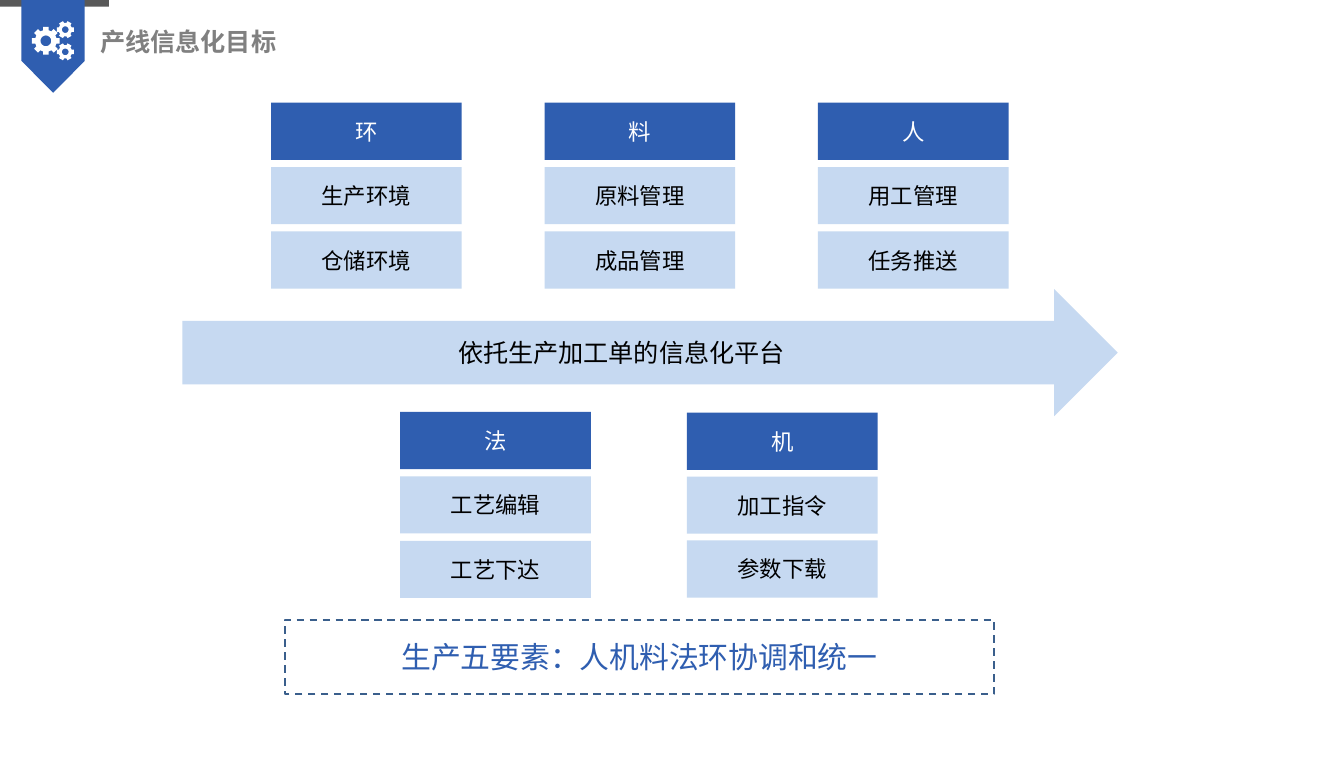
"""Build the slide on production line informatisation goals."""
import math

from lxml import etree
from pptx import Presentation
from pptx import util as u
from pptx.dml import color
from pptx.enum import dml, shapes, text
from pptx.oxml import ns

FONT = "Noto Sans CJK SC"
COLORS = {
    "blue": "2F5EB0", "pale": "C6D9F1", "bar": "595959", "title": "808080",
    "dash": "3A5F8C", "black": "000000", "white": "FFFFFF",
}
CARD_W, CARD_H = 102.2, 30.6
COLUMN_STEP = 146.5
TOP_CARDS = [
    ("环", "生产环境", "仓储环境"),
    ("料", "原料管理", "成品管理"),
    ("人", "用工管理", "任务推送"),
]
BOTTOM_CARDS = [
    (368, 221, 34.2, ("机", "加工指令", "参数下载")),
    (214.4, 220.6, 34.5, ("法", "工艺编辑", "工艺下达")),
]
GEARS = [(24.6, 21.9, 7.6, 8), (35, 15.9, 4.7, 6), (35, 27.8, 4.7, 6)]


def rgb(name):
    return color.RGBColor.from_string(COLORS[name])


def add_shape(parent, kind, box, fill=None):
    sp = parent.shapes.add_shape(kind, *map(u.Pt, box))
    sp.shadow.inherit = False
    sp.line.fill.background()
    if fill:
        sp.fill.solid()
        sp.fill.fore_color.rgb = rgb(fill)
    else:
        sp.fill.background()
    return sp


def write(sp, content, size, ink, bold=False, align=text.PP_ALIGN.CENTER):
    p = sp.text_frame.paragraphs[0]
    p.alignment = align
    r = p.add_run()
    r.text = content
    formats = {"size": u.Pt(size), "bold": bold, "name": FONT}
    for key, value in formats.items():
        setattr(r.font, key, value)
    r.font.color.rgb = rgb(ink)
    etree.SubElement(r._r.get_or_add_rPr(), ns.qn("a:ea"), typeface=FONT)


def add_label(s, box, content, size, ink, frame=None, **style):
    sp = s.shapes.add_textbox(*map(u.Pt, box))
    settings = {"word_wrap": False, "auto_size": text.MSO_AUTO_SIZE.SHAPE_TO_FIT_TEXT}
    for key, value in {**settings, **(frame or {})}.items():
        setattr(sp.text_frame, key, value)
    write(sp, content, size, ink, **style)


def add_cards(s, left, top, step, labels):
    for i, label in enumerate(labels):
        fill, ink = ("pale", "black") if i else ("blue", "white")
        box = (left, top + i * step, CARD_W, CARD_H)
        sp = add_shape(s, shapes.MSO_SHAPE.RECTANGLE, box, fill)
        sp.text_frame.vertical_anchor = text.MSO_ANCHOR.MIDDLE
        write(sp, label, 12, ink)


def ring(cx, cy, polar):
    return [(u.Pt(cx + r * math.cos(a)), u.Pt(cy + r * math.sin(a))) for r, a in polar]


def gear_rings(cx, cy, radius, teeth):
    pitch = 2 * math.pi / teeth
    profile = [(0.77, -0.33), (1, -0.25), (1, 0.25), (0.77, 0.33)]
    rim = [(radius * k, (i + d) * pitch) for i in range(teeth) for k, d in profile]
    hole = [(radius * 0.38, -i * math.pi / 12) for i in range(24)]
    return [ring(cx, cy, rim), ring(cx, cy, hole)]


def add_gears(s):
    rings = [points for gear in GEARS for points in gear_rings(*gear)]
    builder = s.shapes.build_freeform(*rings[0][0])
    for i, points in enumerate(rings):
        if i:
            builder.move_to(*points[0])
        builder.add_line_segments(points[1:], close=True)
    sp = builder.convert_to_shape()
    sp.shadow.inherit = False
    sp.fill.solid()
    sp.fill.fore_color.rgb = rgb("white")
    sp.line.fill.background()


def add_header(s):
    add_shape(s, shapes.MSO_SHAPE.RECTANGLE, (0, 0, 58.3, 3.6), "bar")
    badge = s.shapes.add_group_shape()
    add_shape(badge, shapes.MSO_SHAPE.RECTANGLE, (11.5, 0, 33.9, 32.7), "blue")
    tip = add_shape(badge, shapes.MSO_SHAPE.ISOSCELES_TRIANGLE, (11.5, 32.6, 33.9, 17.1), "blue")
    tip.rotation = 180
    frame = {"word_wrap": True, "margin_left": u.Pt(4.3), "margin_right": u.Pt(4.3),
             "margin_top": u.Pt(2.2), "margin_bottom": u.Pt(2.2)}
    add_label(s, (49.6, 12, 159, 20.2), "产线信息化目标", 13.5, "title", frame,
              bold=True, align=text.PP_ALIGN.LEFT)


def add_summary(s):
    add_label(s, (207.4, 338.4, 270.7, 26.6), "生产五要素：人机料法环协调和统一", 16, "blue")
    sp = add_shape(s, shapes.MSO_SHAPE.RECTANGLE, (152.6, 331.9, 380, 39.8))
    sp.line.color.rgb = rgb("dash")
    sp.line.width = u.Pt(1)
    sp.line.dash_style = dml.MSO_LINE.DASH


def main():
    prs = Presentation()
    prs.slide_width, prs.slide_height = u.Pt(720), u.Pt(405.36)
    s = prs.slides.add_slide(prs.slide_layouts[6])
    add_header(s)
    add_shape(s, shapes.MSO_SHAPE.RIGHT_ARROW, (97.7, 154.8, 501.1, 68), "pale")
    add_label(s, (238, 177, 190.1, 23.8), "依托生产加工单的信息化平台", 13.5, "black")
    for i, labels in enumerate(TOP_CARDS):
        add_cards(s, 145.2 + i * COLUMN_STEP, 55, 34.5, labels)
    for column in BOTTOM_CARDS:
        add_cards(s, *column)
    add_summary(s)
    add_gears(s)
    prs.save("out.pptx")


if __name__ == "__main__":
    main()
